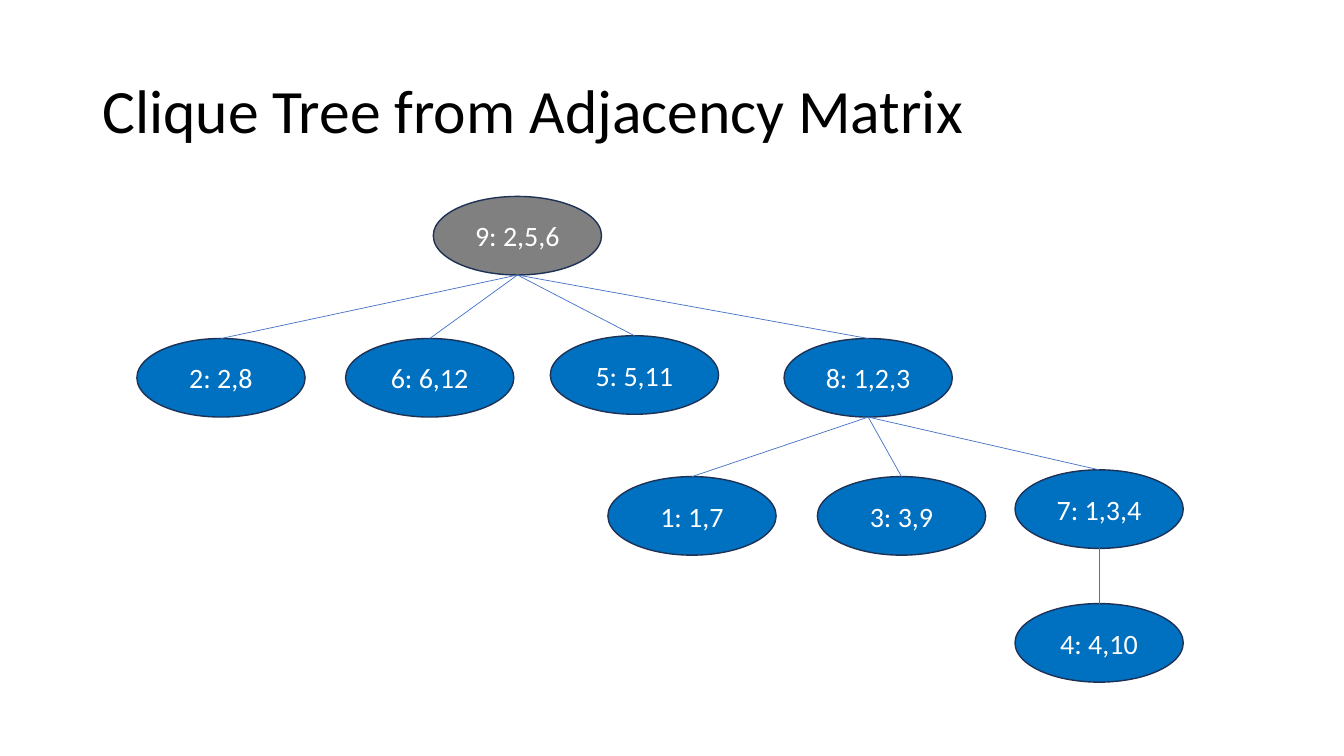
"""Build the clique tree slide."""
from lxml.etree import SubElement
from pptx import Presentation
from pptx.dml.color import RGBColor
from pptx.enum.shapes import MSO_CONNECTOR, MSO_SHAPE
from pptx.enum.text import MSO_ANCHOR, PP_ALIGN
from pptx.oxml.ns import qn
from pptx.util import Cm, Pt

TITLE = "Clique Tree from Adjacency Matrix"
FONT = "Calibri"
BLUE, GREY, OUTLINE, EDGE = "0070C0", "808080", "1E3256", "4472C4"
NODE_WIDTH, NODE_HEIGHT = 4.24, 1.98

# name: (members, parent, left, top)
CLIQUES = {
    "9": ("2,5,6", None, 10.92, 4.95),
    "2": ("2,8", "9", 3.45, 8.53),
    "6": ("6,12", "9", 8.71, 8.53),
    "5": ("5,11", "9", 13.87, 8.46),
    "8": ("1,2,3", "9", 19.76, 8.53),
    "1": ("1,7", "8", 15.32, 12.01),
    "3": ("3,9", "8", 20.6, 12.01),
    "7": ("1,3,4", "8", 25.58, 11.84),
    "4": ("4,10", "7", 25.58, 15.21),
}


def color(value):
    return RGBColor.from_string(value)


def write(box, text, size, ink, align):
    frame = box.text_frame
    frame.text = text
    frame.word_wrap = True
    frame.vertical_anchor = MSO_ANCHOR.MIDDLE
    para = frame.paragraphs[0]
    para.alignment = align
    span = para.runs[0]
    span.font.name = FONT
    span.font.size = Pt(size)
    span.font.color.rgb = color(ink)
    return para


def add_node(page, name, members, parent, left, top):
    node = page.shapes.add_shape(
        MSO_SHAPE.OVAL, Cm(left), Cm(top), Cm(NODE_WIDTH), Cm(NODE_HEIGHT))
    node.shadow.inherit = False
    node.fill.solid()
    node.fill.fore_color.rgb = color(BLUE if parent else GREY)
    node.line.color.rgb = color(OUTLINE)
    node.line.width = Pt(1)
    write(node, f"{name}: {members}", 20, "FFFFFF", PP_ALIGN.CENTER)
    return node


def add_edge(page, parent, child):
    edge = page.shapes.add_connector(
        MSO_CONNECTOR.STRAIGHT,
        parent.left + parent.width // 2, parent.top + parent.height,
        child.left + child.width // 2, child.top)
    edge.end_connect(child, 0)
    edge.line.color.rgb = color(EDGE)
    edge.line.width = Pt(0.5)
    SubElement(edge._element.spPr, qn("a:effectLst"))


def main():
    deck = Presentation()
    deck.slide_width, deck.slide_height = Cm(33.87), Cm(19.05)
    page = deck.slides.add_slide(deck.slide_layouts[6])

    nodes = {name: add_node(page, name, *clique) for name, clique in CLIQUES.items()}
    for name, (_, parent, _, _) in CLIQUES.items():
        if parent:
            add_edge(page, nodes[parent], nodes[name])

    heading = page.shapes.add_textbox(Cm(2.33), Cm(1.01), Cm(29.21), Cm(3.68))
    para = write(heading, TITLE, 44, "000000", PP_ALIGN.LEFT)
    para.line_spacing = 0.9

    deck.save("out.pptx")


if __name__ == "__main__":
    main()
